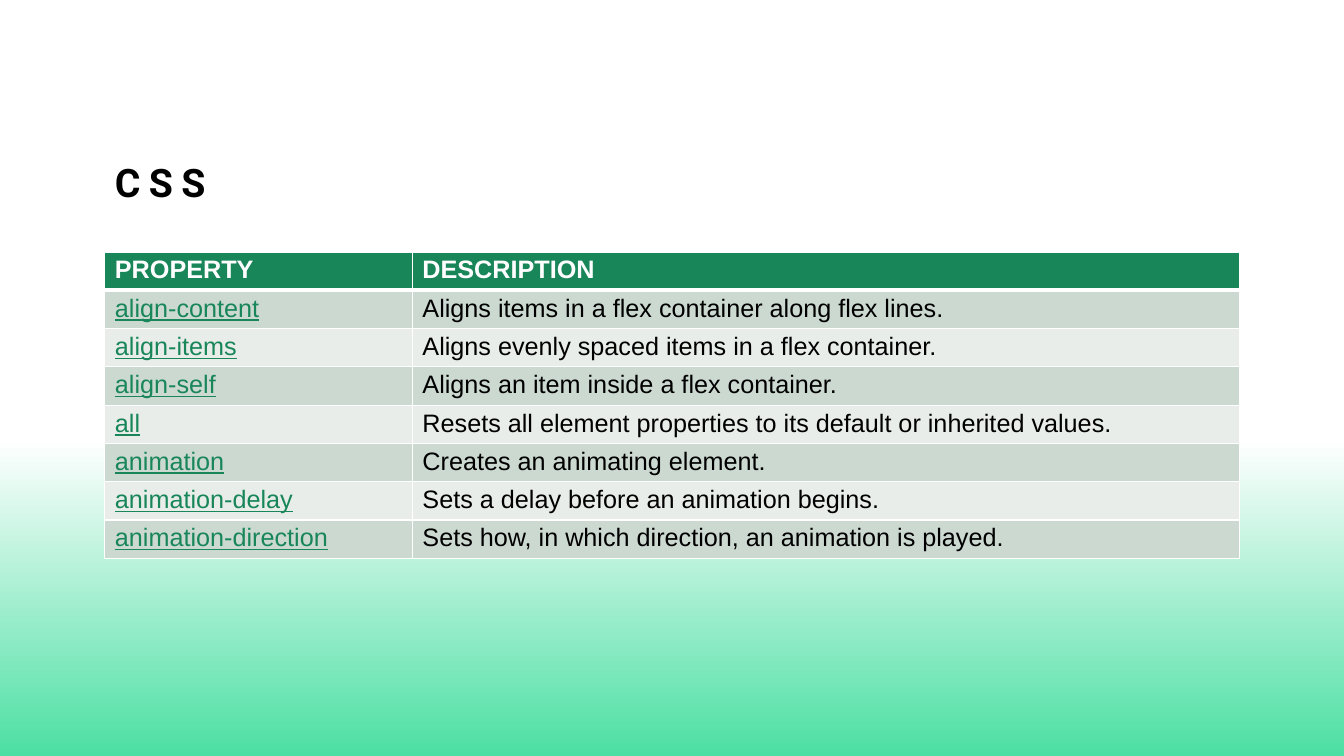
from pptx import Presentation
from pptx.dml.color import RGBColor
from pptx.enum import shapes, text
from pptx.oxml import parse_xml
from pptx.oxml.ns import nsdecls
from pptx.util import Inches, Pt

COLORS = {
    "white": "FFFFFF",
    "black": "000000",
    "mint": "4CDFA3",
    "green": "188659",
    "band_dark": "CCD9D1",
    "band_light": "E8EDEA",
}
HEADER = ("PROPERTY", "DESCRIPTION")
PROPERTIES = [
    ("align-content", "Aligns items in a flex container along flex lines."),
    ("align-items", "Aligns evenly spaced items in a flex container."),
    ("align-self", "Aligns an item inside a flex container."),
    ("all", "Resets all element properties to its default or inherited values."),
    ("animation", "Creates an animating element."),
    ("animation-delay", "Sets a delay before an animation begins."),
    ("animation-direction", "Sets how, in which direction, an animation is played."),
]


def rgb(name):
    return RGBColor.from_string(COLORS[name])


def write(tf, words, size=18, font="Arial", color="black", bold=False,
          underline=False, spacing=0, line=None):
    p = tf.paragraphs[0]
    p.line_spacing = line
    r = p.add_run()
    r.text = words
    f = r.font
    f.size, f.name, f.bold, f.underline = Pt(size), font, bold, underline
    f.color.rgb = rgb(color)
    if spacing:
        r._r.get_or_add_rPr().set("spc", str(spacing * 100))


def set_borders(cell, **widths):
    """Give the cell white borders; widths in points by side."""
    tcPr = cell._tc.get_or_add_tcPr()
    for i, side in enumerate("LRTB"):
        tcPr.insert(i, parse_xml(
            f'<a:ln{side} {nsdecls("a")} w="{Pt(widths.get(side, 1))}">'
            f'<a:solidFill><a:srgbClr val="{COLORS["white"]}"/></a:solidFill>'
            f'</a:ln{side}>'))


def add_fade(slide, x, y, w, h):
    sp = slide.shapes.add_shape(shapes.MSO_SHAPE.RECTANGLE,
                                Inches(x), Inches(y), Inches(w), Inches(h))
    sp.shadow.inherit = False
    sp.line.fill.background()
    sp.fill.gradient()
    sp.fill.gradient_angle = 270
    for stop, position, color in zip(sp.fill.gradient_stops, (0.14, 1), ("white", "mint")):
        stop.position = position
        stop.color.rgb = rgb(color)


def add_title(slide, x, y, w, h):
    sp = slide.shapes.add_textbox(Inches(x), Inches(y), Inches(w), Inches(h))
    tf = sp.text_frame
    tf.word_wrap = True
    tf.vertical_anchor = text.MSO_ANCHOR.BOTTOM
    write(tf, "CSS", size=28, font="Roboto", bold=True, spacing=6, line=1.2)


def add_properties(slide, x, y, w, h, first_col=3.05):
    rows = [HEADER] + PROPERTIES
    table = slide.shapes.add_table(len(rows), len(HEADER), Inches(x), Inches(y),
                                   Inches(w), Inches(h)).table
    for col, width in zip(table.columns, (first_col, w - first_col)):
        col.width = Inches(width)
    for i, row in enumerate(rows):
        is_header = i == 0
        fill = "green" if is_header else "band_dark" if i % 2 else "band_light"
        for j, words in enumerate(row):
            cell = table.cell(i, j)
            cell.margin_top = cell.margin_bottom = Inches(0.04)
            cell.fill.solid()
            cell.fill.fore_color.rgb = rgb(fill)
            # The rule under the header is thicker
            set_borders(cell, B=3 if is_header else 1, T=3 if i == 1 else 1)
            if is_header:
                write(cell.text_frame, words, color="white", bold=True)
            elif j == 0:
                write(cell.text_frame, words, color="green", underline=True)
            else:
                write(cell.text_frame, words)


prs = Presentation()
prs.slide_width, prs.slide_height = Inches(13.33), Inches(7.5)
s = prs.slides.add_slide(prs.slide_layouts[6])

# Background
s.background.fill.solid()
s.background.fill.fore_color.rgb = rgb("white")
add_fade(s, 0, 3.84, 13.33, 3.66)

# Title and table share the left edge and width
add_title(s, 1.04, 0.83, 11.25, 1.26)
add_properties(s, 1.04, 2.5, 11.25, 3.04)

prs.save("out.pptx")
